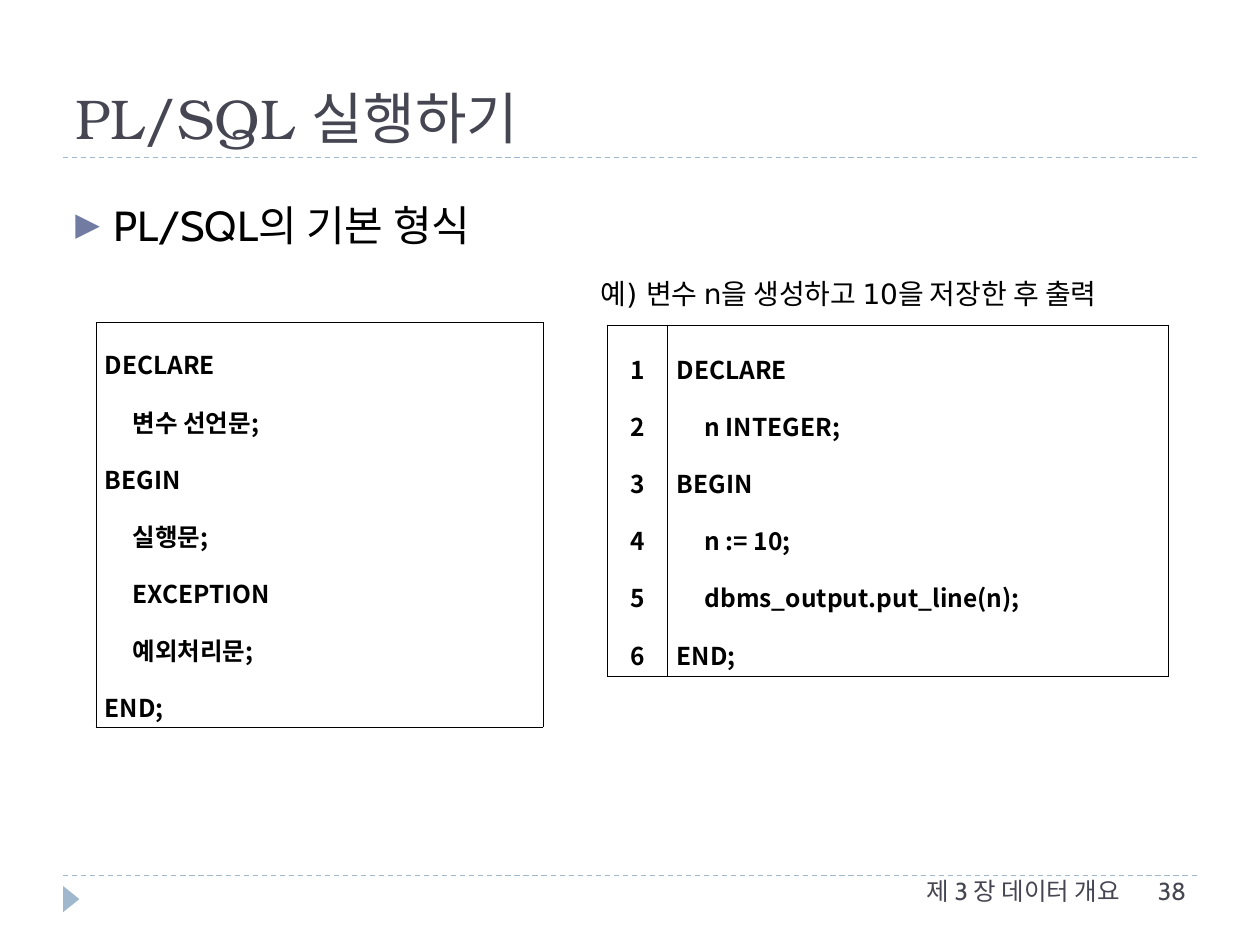
import lxml.etree
import pptx
import pptx.dml.color
import pptx.enum.dml
import pptx.enum.shapes
import pptx.enum.text
import pptx.oxml.ns
import pptx.util

Cm, Pt = pptx.util.Cm, pptx.util.Pt
ALIGN = pptx.enum.text.PP_ALIGN
ANCHOR = pptx.enum.text.MSO_ANCHOR
RGB = pptx.dml.color.RGBColor.from_string
qn = pptx.oxml.ns.qn
sub = lxml.etree.SubElement

COLORS = {"ink": "000000", "heading": "464653", "accent": "9FB8CD", "bullet": "727CA3"}
KOREAN = "Noto Sans CJK KR"


def style(p, size, font, color, align=ALIGN.LEFT, bold=False):
    p.alignment = align
    for r in p.runs:
        r.font.size = Pt(size)
        r.font.name = font
        r.font.bold = bold
        r.font.color.rgb = RGB(COLORS[color])
        sub(r.font._element, qn("a:ea"), typeface=KOREAN)


def add_code_table(left, top, height, widths, columns):
    frame = s.shapes.add_table(1, len(widths), Cm(left), Cm(top), Cm(sum(widths)), Cm(height))
    table = frame.table
    table.first_row = table.horz_banding = False
    table.rows[0].height = Cm(height)
    for i, (width, (lines, align)) in enumerate(zip(widths, columns)):
        table.columns[i].width = Cm(width)
        cell = table.cell(0, i)
        cell.vertical_anchor = ANCHOR.MIDDLE
        cell.margin_left = cell.margin_right = Cm(0.18)
        cell.margin_top = cell.margin_bottom = Cm(0.05)
        # Thin border on every side
        for side in ("lnL", "lnR", "lnT", "lnB"):
            ln = sub(cell._tc.get_or_add_tcPr(), qn("a:" + side), w=str(Pt(0.28)))
            fill = sub(ln, qn("a:solidFill"))
            sub(fill, qn("a:srgbClr"), val=COLORS["ink"])
        cell.fill.background()
        cell.text_frame.text = "\n".join(lines)
        for p in cell.text_frame.paragraphs:
            p.line_spacing = 1.6
            style(p, 14, KOREAN, "ink", align, bold=True)


prs = pptx.Presentation()
prs.slide_width, prs.slide_height = Cm(25.4), Cm(19.05)
s = prs.slides.add_slide(prs.slide_layouts[6])

# Dashed rules under the title and above the footer
for y in (17.65, 3.18):
    line = s.shapes.add_connector(
        pptx.enum.shapes.MSO_CONNECTOR.STRAIGHT, Cm(1.27), Cm(y), Cm(24.13), Cm(y))
    line.line.color.rgb = RGB(COLORS["accent"])
    line.line.width = Pt(0.75)
    line.line.dash_style = pptx.enum.dml.MSO_LINE.DASH
    sub(line._element.spPr, qn("a:effectLst"))

# Footer marker
sp = s.shapes.add_shape(
    pptx.enum.shapes.MSO_SHAPE.ISOSCELES_TRIANGLE, Cm(1.17), Cm(17.96), Cm(0.53), Cm(0.33))
sp.rotation = 90
sp.shadow.inherit = False
sp.fill.solid()
sp.fill.fore_color.rgb = RGB(COLORS["accent"])
sp.line.fill.background()

# Title, topic, example caption, footer and page number
texts = [
    ("PL/SQL 실행하기", 1.27, 0.43, 22.86, 2.74, 32, "TeX Gyre Bonum", "heading", ALIGN.LEFT),
    ("PL/SQL의 기본 형식", 1.27, 3.38, 22.86, 1.78, 24, "Cabin", "ink", ALIGN.LEFT),
    ("예) 변수 n을 생성하고 10을 저장한 후 출력", 11.86, 5.46, 11.81, 0.94, 16,
     "DejaVu Sans", "ink", ALIGN.LEFT),
    ("제 3 장 데이터 개요", 13.18, 17.53, 9.65, 1.02, 14, "Cabin", "heading", ALIGN.RIGHT),
    ("38", 23.09, 17.53, 1.8, 1.02, 14, "Cabin", "heading", ALIGN.LEFT),
]
frames = []
for text, left, top, width, height, size, font, color, align in texts:
    tf = s.shapes.add_textbox(Cm(left), Cm(top), Cm(width), Cm(height)).text_frame
    tf.word_wrap = True
    tf.text = text
    style(tf.paragraphs[0], size, font, color, align)
    frames.append(tf)
title, topic, caption = frames[:3]
title.vertical_anchor = ANCHOR.BOTTOM
caption.word_wrap = False
caption.auto_size = pptx.enum.text.MSO_AUTO_SIZE.SHAPE_TO_FIT_TEXT

# Triangle bullet on the topic
p = topic.paragraphs[0]
p.line_spacing = 1.5
pPr = p._p.get_or_add_pPr()
pPr.set("marL", str(Cm(0.76)))
pPr.set("indent", str(-Cm(0.76)))
sub(sub(pPr, qn("a:buClr")), qn("a:srgbClr"), val=COLORS["bullet"])
sub(pPr, qn("a:buSzPct"), val="76000")
sub(pPr, qn("a:buFont"), typeface="DejaVu Sans")
sub(pPr, qn("a:buChar"), char="▶")

# Block syntax
syntax = ["DECLARE", "     변수 선언문;", "BEGIN", "     실행문;",
          "     EXCEPTION", "     예외처리문;", "END;"]
add_code_table(1.93, 6.5, 8.16, [9.02], [(syntax, ALIGN.JUSTIFY)])

# Numbered example
example = ["DECLARE", "     n INTEGER;", "BEGIN", "     n := 10;",
           "     dbms_output.put_line(n);", "END;"]
numbers = [str(n) for n in range(1, len(example) + 1)]
add_code_table(12.24, 6.55, 7.09, [1.22, 10.08],
               [(numbers, ALIGN.CENTER), (example, ALIGN.JUSTIFY)])

prs.save("out.pptx")
